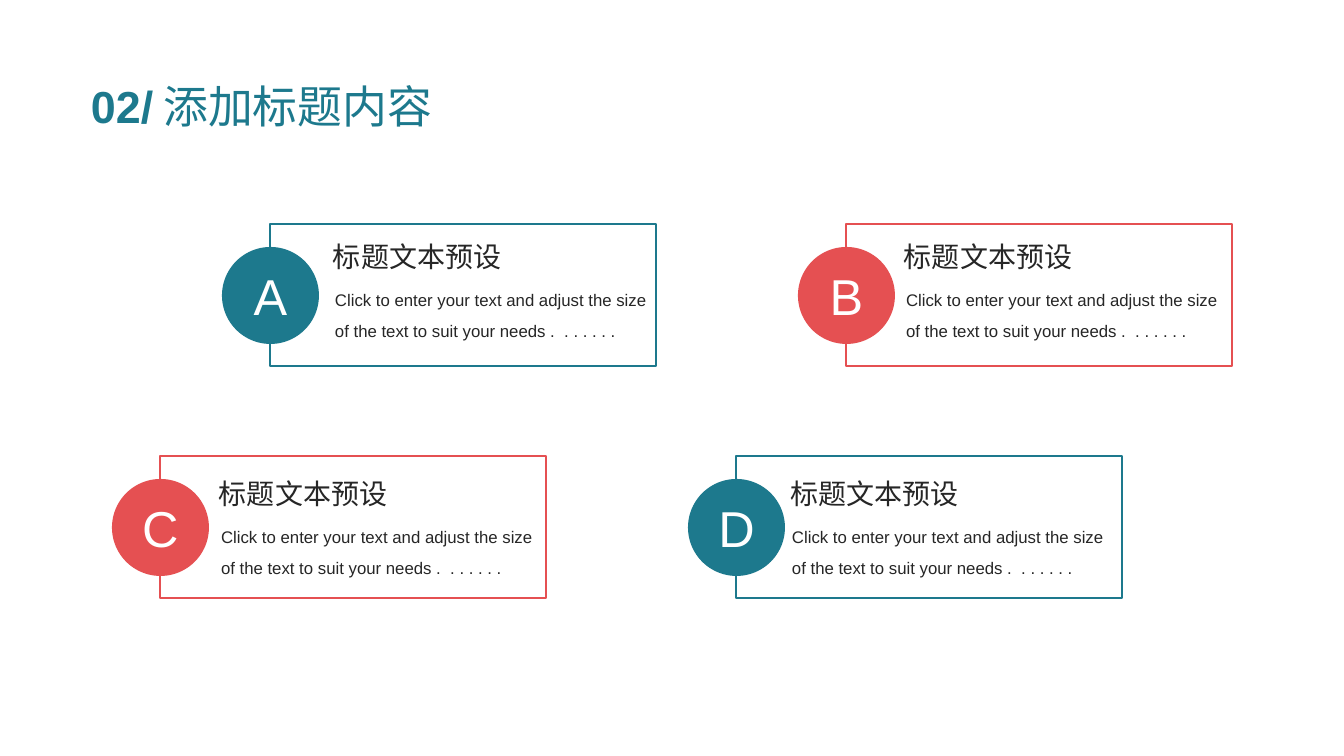
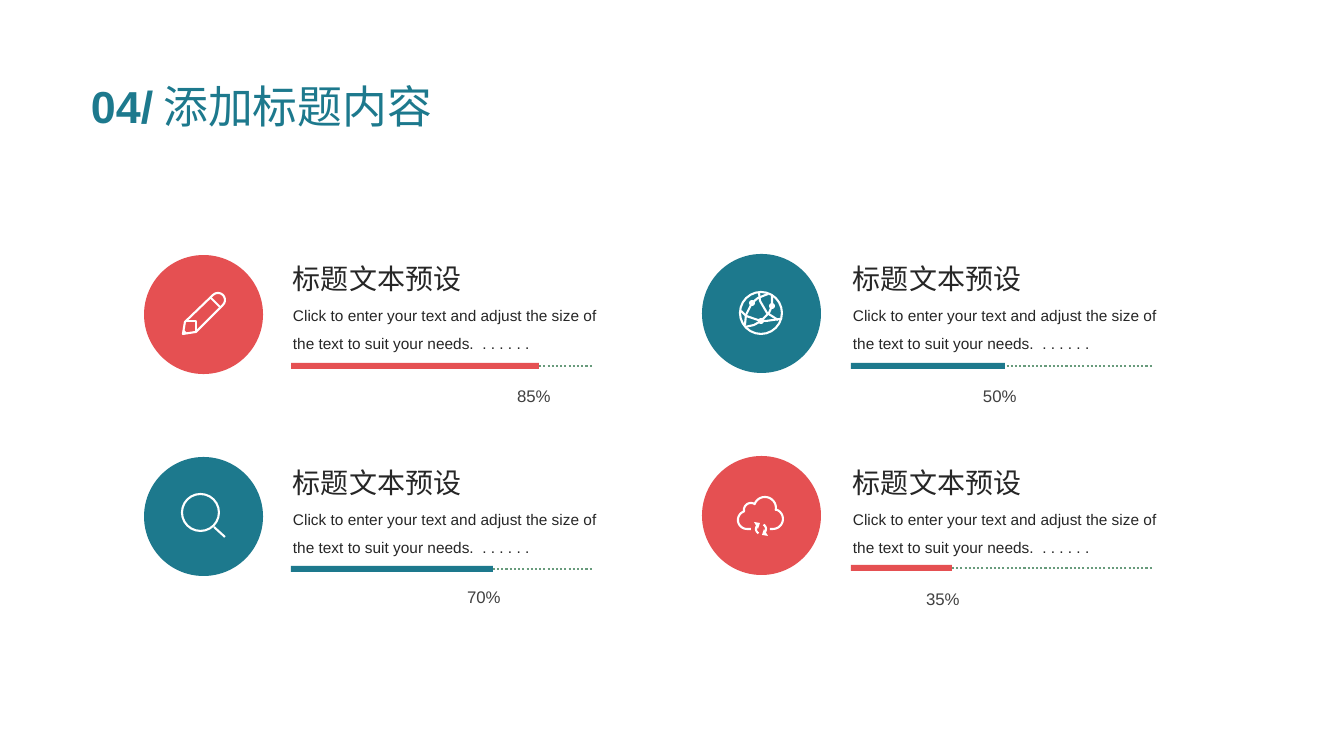
from math import cos, radians, sin

from lxml.etree import SubElement
from pptx import Presentation
from pptx.dml.color import RGBColor
from pptx.enum.dml import MSO_LINE
from pptx.enum.shapes import MSO_CONNECTOR, MSO_SHAPE
from pptx.enum.text import MSO_ANCHOR, PP_ALIGN
from pptx.oxml.ns import qn
from pptx.util import Emu, Pt

TEAL, RED, GREEN = "1D798D", "E55052", "689B7C"
WHITE, DARK, GREY = "FFFFFF", "262626", "404040"
LATIN, HAN = "Arial", "Noto Sans CJK SC"
HEAD = "标题文本预设"
BODY = "Click to enter your text and adjust the size of the text to suit your needs"


def px(size):
    """Turn pixels into EMU."""
    return Emu(round(size * 914400 / 100.8))


def ink(code):
    """Turn a hex string into a colour."""
    return RGBColor.from_string(code)


def arc(x, y, r, start, end, step=10):
    """List the points of an arc, with angles in clockwise degrees."""
    count = max(2, abs(end - start) // step)
    turns = [radians(start + (end - start) * i / count) for i in range(count + 1)]
    return [(x + r * cos(t), y + r * sin(t)) for t in turns]


class Deck:
    """Hold the style and the current slide."""

    def __init__(self):
        """Open an empty wide deck."""
        self.file = Presentation()
        self.file.slide_width, self.file.slide_height = px(1344), px(756)

    def page(self, label):
        """Start a slide with its numbered title."""
        self.slide = self.file.slides.add_slide(self.file.slide_layouts[6])
        self.shapes = self.slide.shapes
        line = self.text(label, 81, 74, 409, 64, 32, TEAL, mid=True)
        line.runs[0].font.bold = True
        name = line.add_run()
        name.text = " 添加标题内容"
        self.style(name, 32, TEAL, HAN)

    def style(self, run, size, color, font=LATIN):
        """Format one run."""
        run.font.size, run.font.name = Pt(size), font
        run.font.color.rgb = ink(color)
        SubElement(run.font._element, qn("a:ea")).set("typeface", HAN)

    def text(self, words, x, y, w, h, size, color, space=None, pad=(10, 5), mid=False):
        """Add a text box and return its paragraph."""
        frame = self.shapes.add_textbox(px(x), px(y), px(w), px(h)).text_frame
        frame.word_wrap = True
        frame.margin_left = frame.margin_right = px(pad[0])
        frame.margin_top = frame.margin_bottom = px(pad[1])
        frame.vertical_anchor = MSO_ANCHOR.MIDDLE if mid else MSO_ANCHOR.TOP
        line = frame.paragraphs[0]
        line.text, line.line_spacing = words, space
        self.style(line.runs[0], size, color)
        return line

    def paint(self, shape, fill=None, edge=None):
        """Set fill and line of a shape."""
        shape.shadow.inherit = False
        if fill:
            shape.fill.solid()
            shape.fill.fore_color.rgb = ink(fill)
        else:
            shape.fill.background()
        if edge:
            shape.line.color.rgb, shape.line.width = ink(edge), Pt(1.5)
        else:
            shape.line.fill.background()
        return shape

    def block(self, x, y, w, h, fill=None, edge=None):
        """Add a rectangle."""
        shape = self.shapes.add_shape(MSO_SHAPE.RECTANGLE, px(x), px(y), px(w), px(h))
        return self.paint(shape, fill, edge)

    def disc(self, x, y, size, fill=None, edge=None, mark=None):
        """Add a circle, with a letter if given."""
        shape = self.shapes.add_shape(MSO_SHAPE.OVAL, px(x), px(y), px(size), px(size))
        self.paint(shape, fill, edge)
        if mark:
            shape.text_frame.text = mark
            shape.text_frame.vertical_anchor = MSO_ANCHOR.MIDDLE
            line = shape.text_frame.paragraphs[0]
            line.alignment = PP_ALIGN.CENTER
            self.style(line.runs[0], 36, WHITE)

    def stroke(self, dots, close=False, fill=None, edge=WHITE):
        """Add an outline through the given points."""
        dots = [(px(x), px(y)) for x, y in dots]
        pen = self.shapes.build_freeform(*dots[0])
        pen.add_line_segments(dots[1:], close=close)
        self.paint(pen.convert_to_shape(), fill, edge)

    def meter(self, x, y, w, end, color):
        """Add a bar over a dotted track."""
        track = self.shapes.add_connector(
            MSO_CONNECTOR.STRAIGHT, px(x), px(y), px(end), px(y))
        track.line.color.rgb, track.line.width = ink(GREEN), Pt(1.5)
        track.line.dash_style = MSO_LINE.ROUND_DOT
        SubElement(track._element.spPr, qn("a:effectLst"))
        track.begin_connect(self.block(x, y - 3, w, 6, color), 1)

    def pencil(self):
        """Draw the pencil."""
        body = [(185, 322), (183, 334), (196, 332)]
        self.stroke(body + arc(218, 300, 7, 45, -135), close=True)
        self.stroke([(210, 297), (220, 307)])
        self.stroke([(186, 321), (196, 321), (196, 331)])
        self.stroke([(183, 334), (184, 330), (187, 333)], True, WHITE, None)

    def lens(self):
        """Draw the magnifier."""
        self.disc(182, 494, 37, edge=WHITE)
        self.stroke([(214, 527), (225, 537)])

    def globe(self):
        """Draw the globe with its net."""
        self.disc(740, 292, 42, edge=WHITE)
        net = [
            [(741, 311), (746, 316), (758, 320), (766, 321), (780, 319)],
            [(745, 327), (754, 325), (761, 321)],
            [(745, 325), (746, 315), (752, 303), (758, 298), (768, 294)],
            [(759, 293), (760, 301), (767, 313), (778, 320)],
            [(761, 321), (769, 313), (772, 306), (772, 296)],
        ]
        for wire in net:
            self.stroke(wire)
        for x, y in [(752, 303), (772, 306), (761, 321)]:
            self.disc(x - 3, y - 3, 6, WHITE)

    def cloud(self):
        """Draw the cloud with two turning arrows."""
        self.stroke([(751, 529)] + arc(747, 520, 9, 90, 250)
                    + arc(751, 510, 7, 170, 300) + arc(765, 508, 11, 200, 370)
                    + arc(773, 519, 10, -65, 90) + [(770, 529)])
        tip = [(-7, -7), (-1, -6), (-3, 0)]
        for way, start in [(1, 120), (-1, -60)]:
            self.stroke(arc(761, 529, 5, start, start + 120))
            self.stroke([(761 + way * x, 529 + way * y) for x, y in tip],
                        True, WHITE, None)


def cards(deck):
    """Build the slide of four lettered cards."""
    deck.page("02/")
    items = [
        ("A", TEAL, 270, 224, 323, 234),
        ("B", RED, 846, 224, 894, 234),
        ("C", RED, 160, 456, 209, 471),
        ("D", TEAL, 736, 456, 780, 471),
    ]
    for mark, color, x, y, left, top in items:
        deck.block(x, y, 386, 142, edge=color)
        deck.disc(x - 48, y + 23, 97, color, mark=mark)
        deck.text(HEAD, left, top, 261, 44, 20, DARK)
        deck.text(BODY + " .  . . . . . .", left + 12, top + 46, 313, 85, 12, DARK,
                  space=1.5, pad=(0, 0))


def meters(deck):
    """Build the slide of four icons with meters."""
    deck.page("04/")
    items = [
        (0, 0, RED, deck.pencil, 366, 248, "85%", 517, 377),
        (1, 0, TEAL, deck.globe, 366, 154, "50%", 983, 377),
        (0, 1, TEAL, deck.lens, 569, 202, "70%", 467, 578),
        (1, 1, RED, deck.cloud, 568, 101, "35%", 926, 580),
    ]
    for col, row, color, icon, y, w, share, left, top in items:
        deck.disc(144 + 558 * col, 255 - col + 202 * row, 119, color)
        icon()
        x = 283 + 560 * col
        deck.text(HEAD, x, 256 + 204 * row, 194, 44, 20, DARK)
        deck.text(BODY + ".  . . . . . .", x, 292 + 204 * row, 329, 62, 11, DARK,
                  space=1.5)
        deck.meter(x + 8, y, w, x + 309, color)
        deck.text(share, left, top, 49, 40, 12, GREY, space=0.9, pad=(0, 5), mid=True)


def main():
    """Build and save the deck."""
    deck = Deck()
    cards(deck)
    meters(deck)
    deck.file.save("out.pptx")


if __name__ == "__main__":
    main()
